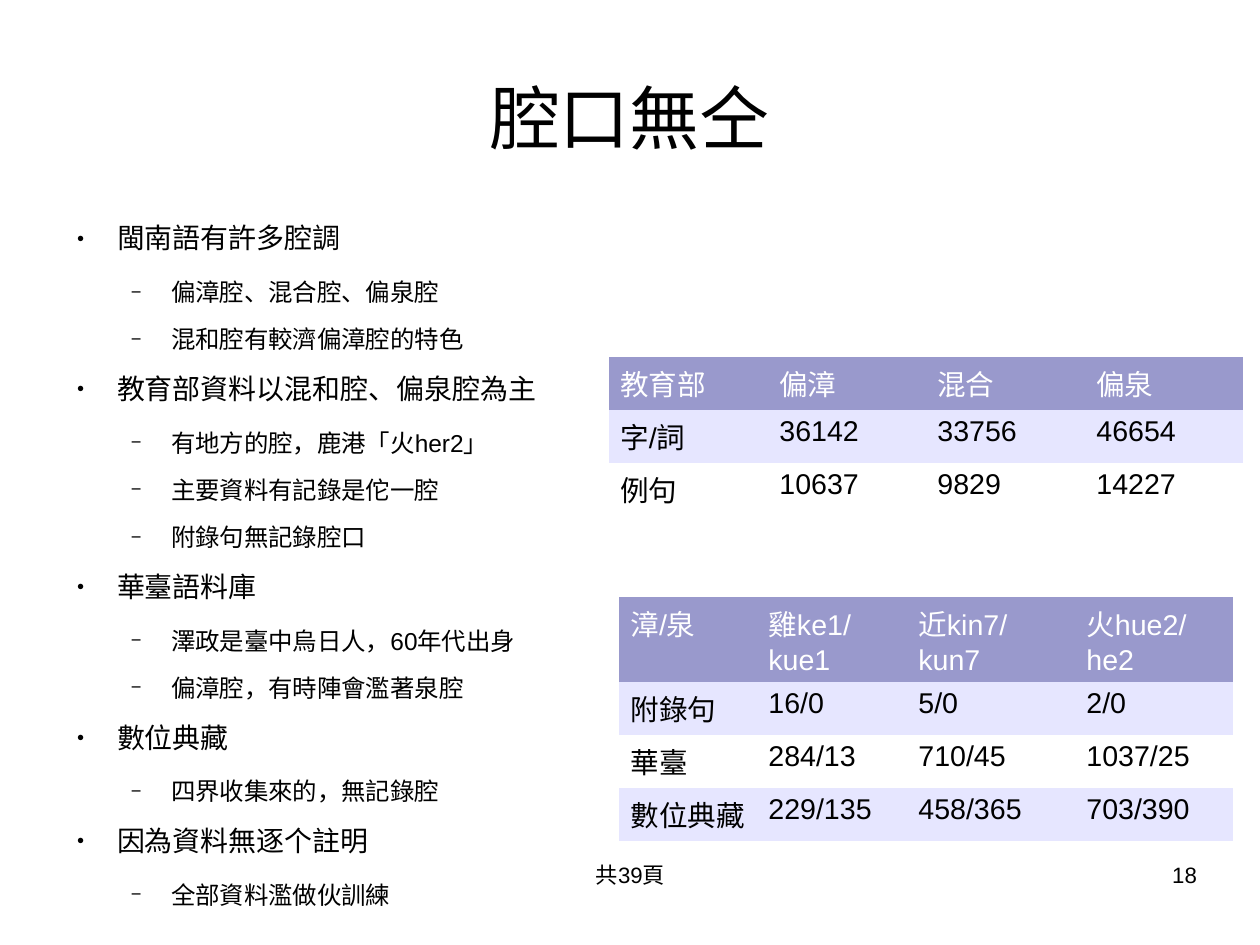
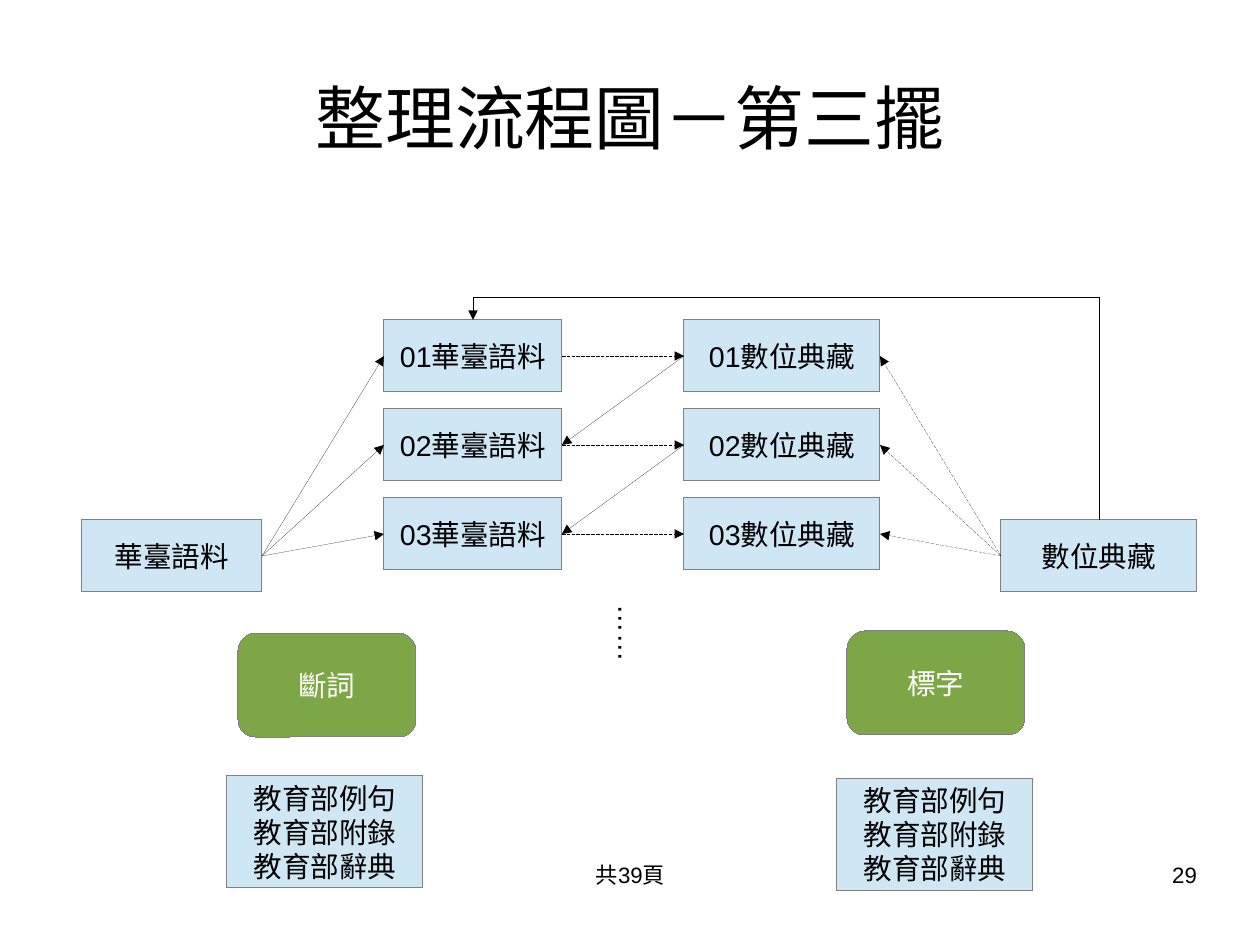
from dataclasses import dataclass

from lxml import etree
from pptx import Presentation
from pptx.dml.color import RGBColor
from pptx.enum.dml import MSO_LINE
from pptx.enum.shapes import MSO_CONNECTOR, MSO_SHAPE
from pptx.enum.text import MSO_ANCHOR, MSO_AUTO_SIZE, PP_ALIGN
from pptx.oxml.ns import qn
from pptx.util import Pt

STRAIGHT, ELBOW = MSO_CONNECTOR.STRAIGHT, MSO_CONNECTOR.ELBOW
PROCESS = MSO_SHAPE.FLOWCHART_PROCESS
ROUNDED = MSO_SHAPE.FLOWCHART_ALTERNATE_PROCESS
LEFT, CENTER, RIGHT = PP_ALIGN.LEFT, PP_ALIGN.CENTER, PP_ALIGN.RIGHT
TOP, MIDDLE = MSO_ANCHOR.TOP, MSO_ANCHOR.MIDDLE
DASH = MSO_LINE.SQUARE_DOT
TOP_SIDE, LEFT_SIDE, RIGHT_SIDE = 0, 1, 3
TITLE_AND_BODY, TITLE_ONLY = 1, 5
PLAIN_TABLE = "{2D5ABB26-0587-4C30-8999-92F81FD0307C}"
PX = 8000


@dataclass(frozen=True)
class Theme:
    font: str = "Arial"
    black: str = "000000"
    white: str = "FFFFFF"
    header: str = "9999CC"
    band: str = "E6E6FF"
    corpus: str = "CFE7F5"
    step: str = "7DA647"
    outline: str = "808080"
    title_size: float = 44
    text_size: float = 18
    footer_size: float = 14


THEME = Theme()
LEVELS = (
    dict(size=17.6, after=14.2, indent=54, mark="●", mark_size=45),
    dict(size=15.4, after=11.3, indent=108, mark="−", mark_size=75),
)
HANGING = 40

SLIDE_SIZE = (1260, 945)
TITLE_BOX = (63, 38, 1134, 158)
BODY_BOX = (63, 221, 1109, 673)
TOTAL_BOX = (431, 861, 399, 65)
NUMBER_BOX = (903, 861, 294, 65)
TOTAL = "共39頁"

ACCENTS_TITLE = "腔口無仝"
ACCENTS_NUMBER = "18"
ACCENTS = (
    (0, "閩南語有許多腔調"),
    (1, "偏漳腔、混合腔、偏泉腔"),
    (1, "混和腔有較濟偏漳腔的特色"),
    (0, "教育部資料以混和腔、偏泉腔為主"),
    (1, "有地方的腔，鹿港「火her2」"),
    (1, "主要資料有記錄是佗一腔"),
    (1, "附錄句無記錄腔口"),
    (0, "華臺語料庫"),
    (1, "澤政是臺中烏日人，60年代出身"),
    (1, "偏漳腔，有時陣會濫著泉腔"),
    (0, "數位典藏"),
    (1, "四界收集來的，無記錄腔"),
    (0, "因為資料無逐个註明"),
    (1, "全部資料濫做伙訓練"),
)
TABLES = (
    dict(at=(619, 597), widths=(138, 150, 168, 158), heights=(85, 53, 53, 53), rows=(
        ("漳/泉", "雞ke1/kue1", "近kin7/kun7", "火hue2/he2"),
        ("附錄句", "16/0", "5/0", "2/0"),
        ("華臺", "284/13", "710/45", "1037/25"),
        ("數位典藏", "229/135", "458/365", "703/390"),
    )),
    dict(at=(609, 357), widths=(159, 158, 159, 158), heights=(53, 53, 53), rows=(
        ("教育部", "偏漳", "混合", "偏泉"),
        ("字/詞", "36142", "33756", "46654"),
        ("例句", "10637", "9829", "14227"),
    )),
)

FLOW_TITLE = "整理流程圖－第三擺"
FLOW_NUMBER = "29"
SPEECH, ARCHIVE = "華臺語料", "數位典藏"
ROUNDS = ("01", "02", "03")
ROUND_TOP, ROUND_PITCH = 320, 89
SPEECH_X, SPEECH_WIDTH = 384, 178
ARCHIVE_X, ARCHIVE_WIDTH = 684, 196
BOX_HEIGHT = 72
SPEECH_BOX = (82, 520, 180, BOX_HEIGHT)
ARCHIVE_BOX = (1001, 520, ARCHIVE_WIDTH, BOX_HEIGHT)
STEPS = (("斷詞", (238, 633, 178, 104)), ("標字", (847, 631, 178, 104)))
MINISTRY = ("教育部例句", "教育部附錄", "教育部辭典")
MINISTRY_BOXES = ((227, 776, 196, 112), (837, 778, 196, 112))
MORE, MORE_BOX = "……", (591, 594, 62, 73)
RETURN_BEND = 111300


def px(*lengths):
    return [round(length * PX) for length in lengths]


def write(frame, *lines, size=THEME.text_size, color=THEME.black, align=LEFT,
          anchor=TOP, wrap=True, insets=None):
    frame.word_wrap = wrap
    frame.vertical_anchor = anchor
    if insets:
        (frame.margin_left, frame.margin_top,
         frame.margin_right, frame.margin_bottom) = px(*insets)
    for index, line in enumerate(lines):
        paragraph = frame.paragraphs[0] if index == 0 else frame.add_paragraph()
        paragraph.alignment = align
        run = paragraph.add_run()
        run.text = line
        run.font.name = THEME.font
        run.font.size = Pt(size)
        run.font.color.rgb = RGBColor.from_string(color)


def place(part, box):
    part.left, part.top, part.width, part.height = px(*box)


def start_slide(deck, layout, title, number):
    slide = deck.slides.add_slide(deck.slide_layouts[layout])
    place(slide.shapes.title, TITLE_BOX)
    write(slide.shapes.title.text_frame, title, size=THEME.title_size,
          align=CENTER, anchor=MIDDLE, insets=(0, 0, 0, 0))
    for text, box, align in ((TOTAL, TOTAL_BOX, CENTER), (number, NUMBER_BOX, RIGHT)):
        footer = slide.shapes.add_textbox(*px(*box))
        write(footer.text_frame, text, size=THEME.footer_size, align=align,
              insets=(0, 0, 0, 0))
    return slide


def add_outline(body, items):
    place(body, BODY_BOX)
    frame = body.text_frame
    frame.auto_size = MSO_AUTO_SIZE.NONE
    write(frame, *(text for _, text in items), insets=(0, 0, 0, 0))
    for paragraph, (level, _) in zip(frame.paragraphs, items):
        style = LEVELS[level]
        paragraph.level = level
        properties = paragraph._p.get_or_add_pPr()
        properties.set("marL", str(style["indent"] * PX))
        properties.set("indent", str(-HANGING * PX))
        mark_color = etree.SubElement(properties, qn("a:buClr"))
        etree.SubElement(mark_color, qn("a:srgbClr"), val=THEME.black)
        etree.SubElement(properties, qn("a:buSzPct"), val=str(style["mark_size"] * 1000))
        etree.SubElement(properties, qn("a:buChar"), char=style["mark"])
        paragraph.space_before = Pt(0)
        paragraph.space_after = Pt(style["after"])
        paragraph.runs[0].font.size = Pt(style["size"])


def add_counts(slide, at, widths, heights, rows):
    graphic = slide.shapes.add_table(
        len(rows), len(widths), *px(*at, sum(widths), sum(heights)))
    table = graphic.table
    table._tbl.tblPr.find(qn("a:tableStyleId")).text = PLAIN_TABLE
    table.first_row = table.horz_banding = False
    for column, width in zip(table.columns, px(*widths)):
        column.width = width
    for row, height in zip(table.rows, px(*heights)):
        row.height = height
    for r, values in enumerate(rows):
        fill = THEME.header if r == 0 else (THEME.white, THEME.band)[r % 2]
        for c, value in enumerate(values):
            cell = table.cell(r, c)
            cell.fill.solid()
            cell.fill.fore_color.rgb = RGBColor.from_string(fill)
            write(cell.text_frame, value, color=THEME.white if r == 0 else THEME.black)


def hairline(part, color):
    part.line.color.rgb = RGBColor.from_string(color)
    stroke = part._element.spPr.find(qn("a:ln"))
    stroke.set("w", "0")
    return stroke


def add_box(slide, lines, box, kind=PROCESS, fill=THEME.corpus, color=THEME.black):
    node = slide.shapes.add_shape(kind, *px(*box))
    node.shadow.inherit = False
    node.fill.solid()
    node.fill.fore_color.rgb = RGBColor.from_string(fill)
    hairline(node, THEME.outline)
    write(node.text_frame, *lines, color=color, align=CENTER, anchor=MIDDLE, wrap=False)
    return node


def add_arrow(slide, source, source_side, target, target_side, kind=STRAIGHT, dash=None):
    arrow = slide.shapes.add_connector(kind, 0, 0, 0, 0)
    arrow.begin_connect(source, source_side)
    arrow.end_connect(target, target_side)
    stroke = hairline(arrow, THEME.black)
    if dash:
        arrow.line.dash_style = dash
    etree.SubElement(stroke, qn("a:tailEnd"), type="triangle")
    etree.SubElement(arrow._element.spPr, qn("a:effectLst"))
    return arrow


def bend_over_top(arrow, bend):
    center_x = arrow.left + arrow.width // 2
    center_y = arrow.top + arrow.height // 2
    width, height = arrow.height, arrow.width
    arrow.left, arrow.top = center_x - width // 2, center_y - height // 2
    arrow.width, arrow.height = width, height
    frame = arrow._element.spPr.find(qn("a:xfrm"))
    for name, value in (("rot", "16200000"), ("flipH", "0"), ("flipV", "1")):
        frame.set(name, value)
    geometry = arrow._element.spPr.find(qn("a:prstGeom"))
    guides = geometry.find(qn("a:avLst"))
    if guides is None:
        guides = etree.SubElement(geometry, qn("a:avLst"))
    etree.SubElement(guides, qn("a:gd"), name="adj1", fmla=f"val {bend}")


def build_accents(deck):
    slide = start_slide(deck, TITLE_AND_BODY, ACCENTS_TITLE, ACCENTS_NUMBER)
    add_outline(slide.placeholders[1], ACCENTS)
    for counts in TABLES:
        add_counts(slide, **counts)


def build_flow(deck):
    slide = start_slide(deck, TITLE_ONLY, FLOW_TITLE, FLOW_NUMBER)
    speech = add_box(slide, [SPEECH], SPEECH_BOX)
    archive = add_box(slide, [ARCHIVE], ARCHIVE_BOX)
    for name, box in STEPS:
        add_box(slide, [name], box, kind=ROUNDED, fill=THEME.step, color=THEME.white)
    for box in MINISTRY_BOXES:
        add_box(slide, MINISTRY, box)

    speech_rounds, archive_rounds = (
        [add_box(slide, [number + name],
                 (x, ROUND_TOP + i * ROUND_PITCH, width, BOX_HEIGHT))
         for i, number in enumerate(ROUNDS)]
        for name, x, width in ((SPEECH, SPEECH_X, SPEECH_WIDTH),
                               (ARCHIVE, ARCHIVE_X, ARCHIVE_WIDTH)))
    for speech_round, archive_round in zip(speech_rounds, archive_rounds):
        add_arrow(slide, speech, RIGHT_SIDE, speech_round, LEFT_SIDE)
        add_arrow(slide, archive, LEFT_SIDE, archive_round, RIGHT_SIDE, dash=DASH)
        add_arrow(slide, speech_round, RIGHT_SIDE, archive_round, LEFT_SIDE, dash=DASH)
    for archive_round, next_speech in zip(archive_rounds, speech_rounds[1:]):
        add_arrow(slide, archive_round, LEFT_SIDE, next_speech, RIGHT_SIDE)
    loop = add_arrow(slide, archive, TOP_SIDE, speech_rounds[0], TOP_SIDE, kind=ELBOW)
    bend_over_top(loop, RETURN_BEND)

    more = slide.shapes.add_textbox(*px(*MORE_BOX))
    write(more.text_frame, MORE, wrap=False, insets=(6, 11, 6, 11))
    more.text_frame._txBody.bodyPr.set("vert", "eaVert")


def main():
    deck = Presentation()
    deck.slide_width, deck.slide_height = px(*SLIDE_SIZE)
    build_accents(deck)
    build_flow(deck)
    deck.save("out.pptx")


if __name__ == "__main__":
    main()
